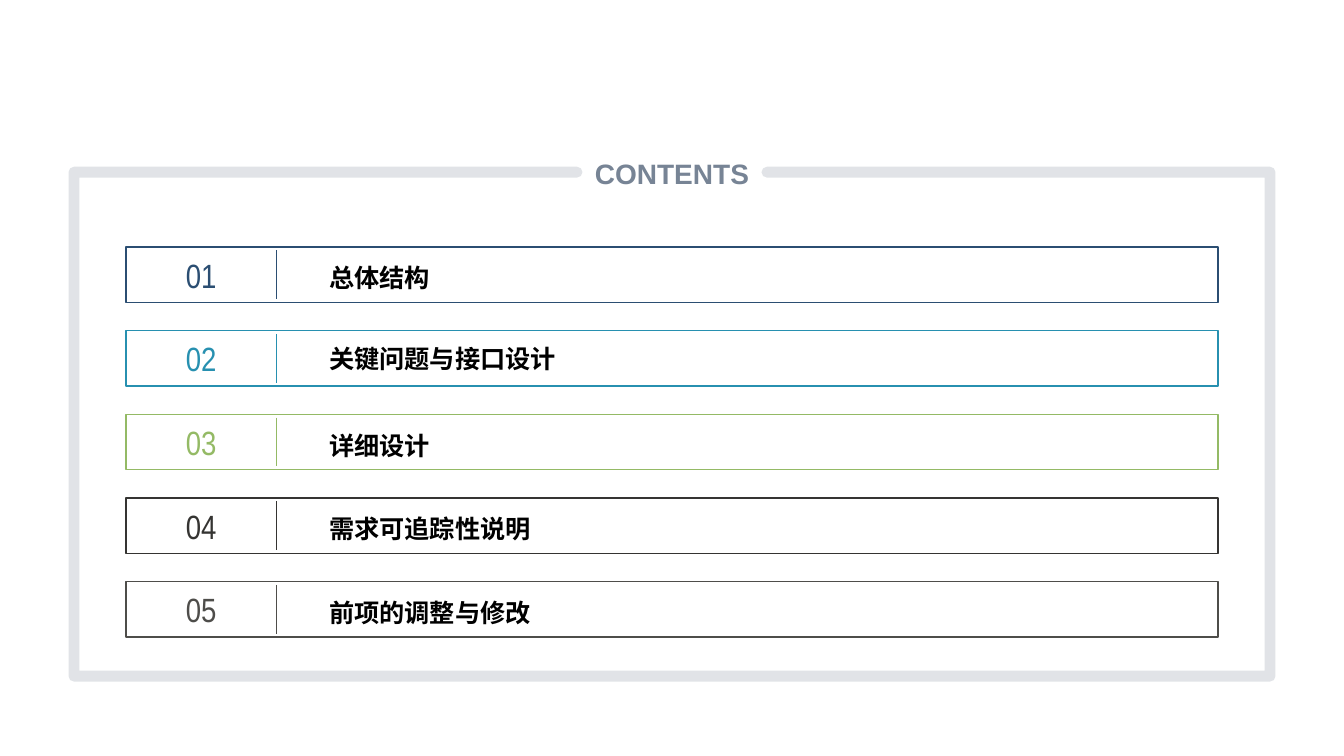
import lxml.etree
import pptx
import pptx.dml.color
import pptx.enum.shapes
import pptx.enum.text
import pptx.oxml.ns
import pptx.util

RGB = pptx.dml.color.RGBColor
ALIGN = pptx.enum.text.PP_ALIGN
SLATE = RGB(0x77, 0x84, 0x95)
BLACK = RGB(0x00, 0x00, 0x00)
NAVY = RGB(0x2B, 0x4E, 0x72)
TEAL = RGB(0x27, 0x90, 0xB0)
GREEN = RGB(0x94, 0xBA, 0x65)
CHARCOAL = RGB(0x35, 0x34, 0x32)
GRAY = RGB(0x4E, 0x4D, 0x4A)

# The page is a grid of 160 columns by 90 rows of square cells.
CELL = pptx.util.Inches(1) / 12
ENTRY_LEFT, ENTRY_TOP = 15, 29.4
ENTRY_WIDTH, ENTRY_HEIGHT, ENTRY_PITCH = 130, 6.6, 9.96
NUMBER_WIDTH, LABEL_INDENT, DIVIDER_INSET = 17.9, 23, 0.4

HEADING = {"size": pptx.util.Pt(20), "name": "Arial", "bold": True}
NUMBER = {"size": pptx.util.Pt(24), "name": "Arial Narrow", "bold": False}
LABEL = {"size": pptx.util.Pt(18), "name": "Arial", "bold": True}

# Label, colour, line spacing
ENTRIES = [
    ("总体结构", NAVY, 1.2),
    ("关键问题与接口设计", TEAL, 1.0),
    ("详细设计", GREEN, 1.2),
    ("需求可追踪性说明", CHARCOAL, 1.2),
    ("前项的调整与修改", GRAY, 1.2),
]


def grid(*cells):
    """Turn counts of grid cells into lengths."""
    return [pptx.util.Emu(round(count * CELL)) for count in cells]


def add_xml(parent, tag, **attributes):
    """Append a drawing element to its parent."""
    return lxml.etree.SubElement(parent, pptx.oxml.ns.qn(tag), attributes)


class ContentsPage:
    """Hold the current slide and the style of its elements."""

    def __init__(self, deck):
        """Add a slide that has only a title."""
        self.page = deck.slides.add_slide(deck.slide_layouts[5])

    def fill_text(self, box, words, style, color, align, spacing=1.0):
        """Fill a box with one formatted paragraph, centred vertically."""
        frame = box.text_frame
        settings = {
            "word_wrap": True,
            "auto_size": pptx.enum.text.MSO_AUTO_SIZE.NONE,
            "vertical_anchor": pptx.enum.text.MSO_ANCHOR.MIDDLE,
        }
        for name, value in settings.items():
            setattr(frame, name, value)
        para = frame.paragraphs[0]
        para.alignment, para.line_spacing = align, spacing
        span = para.add_run()
        span.text = words
        for name, value in style.items():
            setattr(span.font, name, value)
        span.font.color.rgb = color

    def title(self, words, *cells):
        """Place the title without inner margins."""
        box = self.page.shapes.title
        box.left, box.top, box.width, box.height = grid(*cells)
        for side in ("left", "top", "right", "bottom"):
            setattr(box.text_frame, f"margin_{side}", 0)
        self.fill_text(box, words, HEADING, SLATE, ALIGN.CENTER)

    def text(self, words, cells, style, color, align, spacing=1.0):
        """Add a text box."""
        box = self.page.shapes.add_textbox(*grid(*cells))
        self.fill_text(box, words, style, color, align, spacing)

    def outline(self, shape, color, width=1):
        """Give a shape or connector a plain line."""
        shape.line.color.rgb = color
        shape.line.width = pptx.util.Pt(width)

    def bar(self, cells, color):
        """Add an unfilled rectangle."""
        kind = pptx.enum.shapes.MSO_SHAPE.RECTANGLE
        shape = self.page.shapes.add_shape(kind, *grid(*cells))
        shape.fill.background()
        shape.shadow.inherit = False
        self.outline(shape, color)

    def divider(self, column, top, bottom, color):
        """Add a vertical line."""
        kind = pptx.enum.shapes.MSO_CONNECTOR.STRAIGHT
        line = self.page.shapes.add_connector(kind, *grid(column, top, column, bottom))
        self.outline(line, color)
        add_xml(line._element.spPr, "a:effectLst")

    def frame(self, points):
        """Add a thick, translucent open frame with round ends and corners."""
        start, *rest = [grid(*point) for point in points]
        builder = self.page.shapes.build_freeform(*start)
        builder.add_line_segments(rest, close=False)
        shape = builder.convert_to_shape()
        shape.fill.background()
        shape.shadow.inherit = False
        self.outline(shape, SLATE, 7.75)
        line = shape._element.spPr.find(pptx.oxml.ns.qn("a:ln"))
        line.set("cap", "rnd")
        color = line.find(".//" + pptx.oxml.ns.qn("a:srgbClr"))
        add_xml(color, "a:alpha", val="21000")
        add_xml(line, "a:round")

    def entry(self, index, label, color, spacing):
        """Add one numbered row of the contents."""
        top = ENTRY_TOP + index * ENTRY_PITCH
        label_left = ENTRY_LEFT + LABEL_INDENT
        label_width = ENTRY_WIDTH - LABEL_INDENT
        self.bar((ENTRY_LEFT, top, ENTRY_WIDTH, ENTRY_HEIGHT), color)
        self.text(f"{index + 1:02}", (ENTRY_LEFT, top, NUMBER_WIDTH, ENTRY_HEIGHT),
                  NUMBER, color, ALIGN.CENTER)
        self.divider(ENTRY_LEFT + NUMBER_WIDTH, top + DIVIDER_INSET,
                     top + ENTRY_HEIGHT - DIVIDER_INSET, color)
        self.text(label, (label_left, top, label_width, ENTRY_HEIGHT),
                  LABEL, BLACK, ALIGN.LEFT, spacing)


def main():
    """Build and save the deck."""
    deck = pptx.Presentation()
    deck.slide_width, deck.slide_height = grid(160, 90)
    contents = ContentsPage(deck)
    contents.title("CONTENTS", 69.7, 16.6, 20.6, 8)
    left, right, top, bottom = 8.8, 151.2, 20.5, 80.5
    contents.frame([(91.3, top), (right, top), (right, bottom),
                    (left, bottom), (left, top), (68.7, top)])
    for index, entry in enumerate(ENTRIES):
        contents.entry(index, *entry)
    deck.save("out.pptx")


main()
